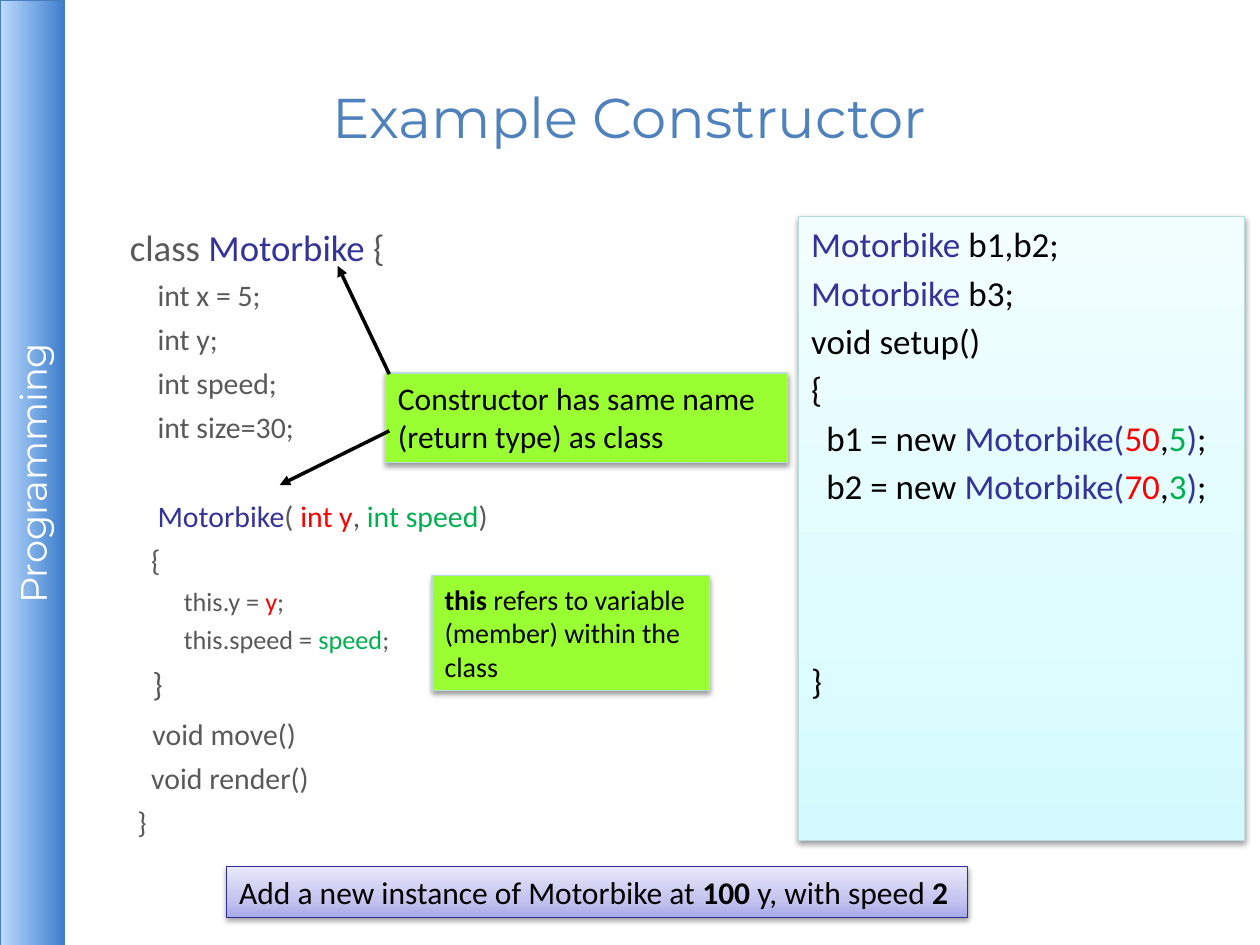
import pptx
import pptx.dml.color
import pptx.enum.shapes
import pptx.enum.text
import pptx.oxml
import pptx.oxml.ns
import pptx.util

RGBColor = pptx.dml.color.RGBColor
ALIGN = pptx.enum.text.PP_ALIGN
ANCHOR = pptx.enum.text.MSO_ANCHOR
PX = 9144  # 100 px to the inch

BLACK = RGBColor(0x00, 0x00, 0x00)
WHITE = RGBColor(0xFF, 0xFF, 0xFF)
GREY = RGBColor(0x59, 0x59, 0x59)
TITLE_BLUE = RGBColor(0x4F, 0x81, 0xBD)
INDIGO = RGBColor(0x33, 0x33, 0x99)
RED = RGBColor(0xFF, 0x00, 0x00)
GREEN = RGBColor(0x00, 0xB0, 0x50)
LIME = RGBColor(0x99, 0xFF, 0x33)
PALE_TEAL = RGBColor(0xB6, 0xDC, 0xDF)
DARK_INDIGO = RGBColor(0x2F, 0x2F, 0x98)
SIDEBAR_LINE = RGBColor(0x4A, 0x7D, 0xBB)
SIDEBAR_STOPS = [(0, RGBColor(0xBD, 0xDB, 0xFE)), (100, RGBColor(0x3E, 0x7F, 0xCD))]
PANEL_STOPS = [(0, RGBColor(0xD3, 0xFB, 0xFF)), (35, RGBColor(0xDF, 0xFC, 0xFF)),
               (100, RGBColor(0xF2, 0xFE, 0xFF))]
TASK_STOPS = [(0, RGBColor(0xA9, 0xA9, 0xE9)), (35, RGBColor(0xC4, 0xC4, 0xEF)),
              (100, RGBColor(0xE8, 0xE8, 0xFA))]


def px(*lengths):
    return [pptx.util.Emu(length * PX) for length in lengths]


def add_xml(parent, xml):
    namespace = pptx.oxml.ns.nsdecls("a")
    element = pptx.oxml.parse_xml(xml.replace(" ", f" {namespace} ", 1))
    parent.append(element)
    return element


def set_gradient(shape, stops, angle):
    stop_xml = "".join(f'<a:gs pos="{position * 1000}"><a:srgbClr val="{color}"/></a:gs>'
                       for position, color in stops)
    gradient = add_xml(shape._element.spPr,
                       f'<a:gradFill rotWithShape="1"><a:gsLst>{stop_xml}</a:gsLst>'
                       f'<a:lin ang="{angle * 60000}" scaled="0"/></a:gradFill>')
    shape._element.spPr.find(pptx.oxml.ns.qn("a:prstGeom")).addnext(gradient)


def add_panel(slide, box, line_color, fill=None, stops=None, angle=270, shadow=(38, 3.1, 1.6)):
    """Draw a filled rectangle with a thin outline and a soft shadow below it."""
    shape = slide.shapes.add_shape(pptx.enum.shapes.MSO_SHAPE.RECTANGLE, *px(*box))
    shape.line.color.rgb = line_color
    shape.line.width = pptx.util.Pt(0.75)
    if stops:
        set_gradient(shape, stops, angle)
    else:
        shape.fill.solid()
        shape.fill.fore_color.rgb = fill
    shape.shadow.inherit = False
    alpha, blur, distance = shadow
    effects = shape._element.spPr.find(pptx.oxml.ns.qn("a:effectLst"))
    add_xml(effects, f'<a:outerShdw blurRad="{round(blur * 12700)}" '
                     f'dist="{round(distance * 12700)}" dir="5400000" rotWithShape="0">'
                     f'<a:srgbClr val="000000"><a:alpha val="{alpha * 1000}"/></a:srgbClr>'
                     '</a:outerShdw>')
    shape.text_frame.vertical_anchor = ANCHOR.TOP
    shape.text_frame.word_wrap = True
    return shape


def set_insets(frame, inset):
    frame.margin_left, frame.margin_top, frame.margin_right, frame.margin_bottom = px(*[inset] * 4)


def add_line(frame, runs, size, color=BLACK, before=0, indent=0, align=ALIGN.LEFT,
             font="Calibri"):
    """Add a paragraph; each run is a text, or a text with its colour and boldness."""
    first = not frame.paragraphs[0].runs
    paragraph = frame.paragraphs[0] if first else frame.add_paragraph()
    paragraph.alignment = align
    paragraph.space_before = pptx.util.Pt(before)
    properties = paragraph._p.get_or_add_pPr()
    properties.set("marL", str(indent * PX))
    properties.set("indent", "0")
    for item in runs:
        text, run_color, bold = item if isinstance(item, tuple) else (item, color, False)
        run = paragraph.add_run()
        run.text = text
        run.font.name = font
        run.font.size = pptx.util.Pt(size)
        run.font.color.rgb = run_color
        run.font.bold = bold


def tint(text, color):
    return text, color, False


def strong(text):
    return text, BLACK, True


def add_sidebar(slide, box):
    left, top, width, height = box
    # The bar lies flat and is turned about its centre to read upwards
    flat = (left + (width - height) // 2, top + (height - width) // 2, height, width)
    bar = add_panel(slide, flat, SIDEBAR_LINE, stops=SIDEBAR_STOPS, angle=90, shadow=(35, 0, 1.8))
    bar.rotation = 270
    set_insets(bar.text_frame, 4)
    bar.text_frame.vertical_anchor = ANCHOR.MIDDLE
    add_line(bar.text_frame, ["Programming"], 21, WHITE, align=ALIGN.CENTER, font="Montserrat")


def add_title(slide, box):
    frame = slide.shapes.add_textbox(*px(*box)).text_frame
    frame.word_wrap = True
    frame.vertical_anchor = ANCHOR.MIDDLE
    set_insets(frame, 4)
    add_line(frame, ["Example Constructor"], 32, TITLE_BLUE, align=ALIGN.CENTER, font="Montserrat")


def add_class_code(slide, box):
    frame = slide.shapes.add_textbox(*px(*box)).text_frame
    frame.word_wrap = True
    set_insets(frame, 4)
    # Runs, size, space before, indent
    lines = [(["class ", tint("Motorbike", INDIGO), " {"], 21, 6, 38)]
    lines += [([field], 17, 4.8, 60)
              for field in ("int x = 5;", "int y;", "int speed;", "int size=30;")]
    lines += [
        ([tint("Motorbike", INDIGO), "( ", tint("int y", RED), ", ",
          tint("int speed", GREEN), ")"], 17, 30.4, 60),
        (["{"], 17, 4.8, 55),
        (["this.y = ", tint("y", RED), ";"], 15, 4, 81),
        (["this.speed = ", tint("speed", GREEN), ";"], 15, 4, 81),
        (["}"], 19, 4.8, 56),
        (["void move()"], 17, 7.2, 56),
        (["void render()"], 17, 4.8, 55),
        (["}"], 17, 4.8, 44),
    ]
    for runs, size, before, indent in lines:
        add_line(frame, runs, size, GREY, before, indent)


def add_usage_code(slide, box):
    frame = add_panel(slide, box, PALE_TEAL, stops=PANEL_STOPS).text_frame
    gap = 3.6
    for name in (" b1,b2;", " b3;"):
        add_line(frame, [tint("Motorbike", INDIGO), name], 20, before=gap)
    for text in ("void setup()", "{"):
        add_line(frame, [text], 20, before=gap)
    for name, y, speed in (("b1", "50", "5"), ("b2", "70", "3")):
        add_line(frame, [f"{name} = new ", tint("Motorbike(", INDIGO), tint(y, RED), ",",
                         tint(speed, GREEN), tint(")", INDIGO), ";"],
                 20, before=gap, indent=12)
    # Room is left for the answer before the closing brace
    add_line(frame, ["}"], 20, before=gap + 84)


def add_task(slide, box):
    frame = add_panel(slide, box, DARK_INDIGO, stops=TASK_STOPS).text_frame
    frame.word_wrap = False
    add_line(frame, ["Add a new instance of Motorbike at ", strong("100"),
                     " y, with speed ", strong("2")], 18)


def add_callout(slide, box, lines, size):
    frame = add_panel(slide, box, PALE_TEAL, fill=LIME).text_frame
    for runs in lines:
        add_line(frame, runs, size)


def add_arrow(slide, start, end):
    arrow = slide.shapes.add_connector(pptx.enum.shapes.MSO_CONNECTOR.STRAIGHT,
                                       *px(*start, *end))
    arrow.line.color.rgb = BLACK
    arrow.line.width = pptx.util.Pt(2)
    add_xml(arrow.line._get_or_add_ln(), '<a:tailEnd type="triangle"/>')
    add_xml(arrow._element.spPr, "<a:effectLst />")


def main():
    presentation = pptx.Presentation()
    presentation.slide_width, presentation.slide_height = px(1000, 750)
    slide = presentation.slides.add_slide(presentation.slide_layouts[6])

    add_sidebar(slide, (0, 0, 51, 751))
    add_title(slide, (50, 30, 900, 125))
    add_class_code(slide, (61, 174, 889, 524))
    add_usage_code(slide, (634, 172, 354, 495))
    add_task(slide, (180, 688, 588, 40))
    add_callout(slide, (306, 296, 319, 71),
                [["Constructor has same name"], ["(return type) as class"]], 18)
    add_callout(slide, (343, 457, 220, 91),
                [[strong("this"), " refers to variable"], ["(member) within the class"]], 16)
    # Arrows to the constructor and to the class name
    add_arrow(slide, (309, 342), (222, 385))
    add_arrow(slide, (309, 297), (268, 211))

    presentation.save("out.pptx")


if __name__ == "__main__":
    main()
